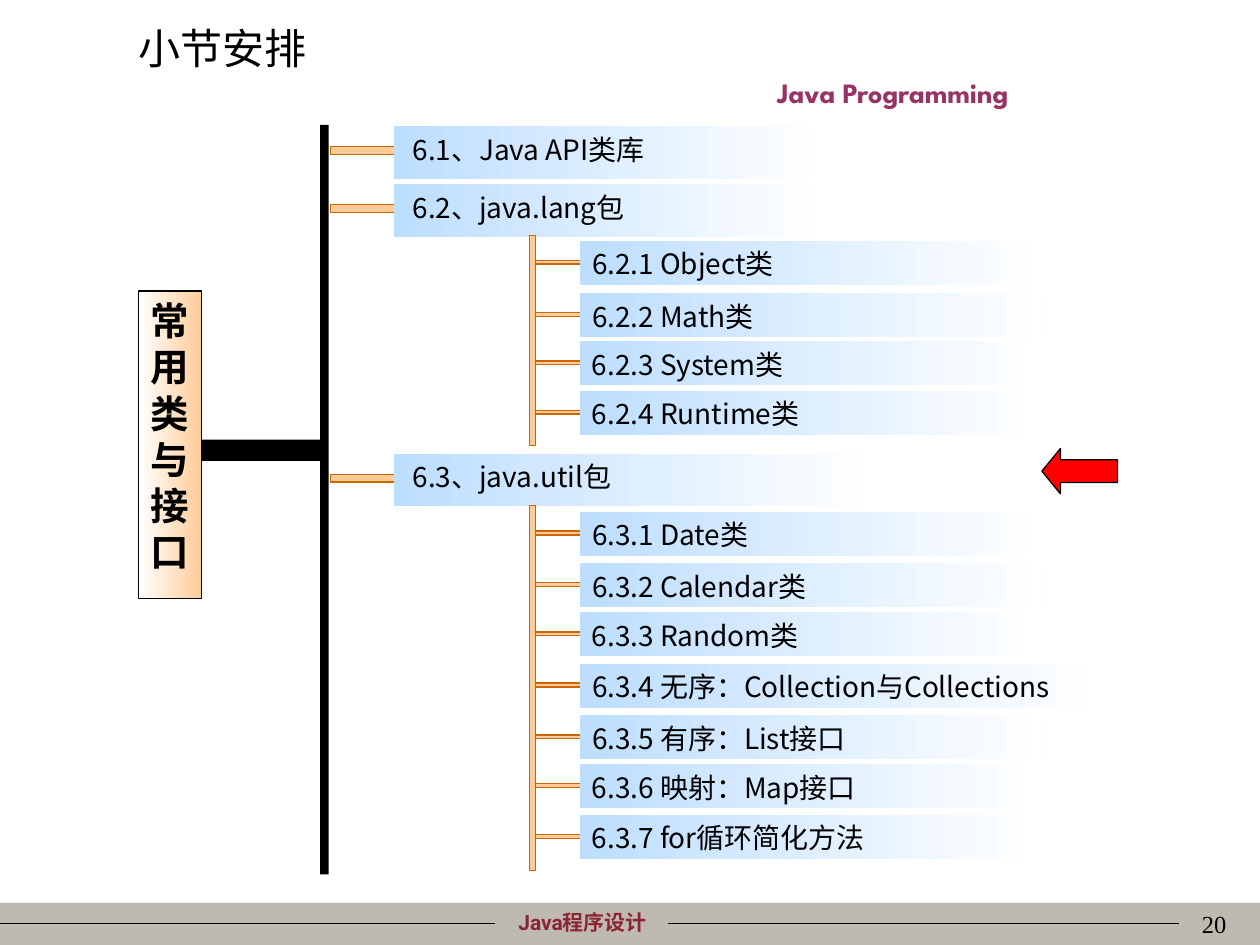
from dataclasses import dataclass
from lxml.etree import SubElement
from pptx import Presentation
from pptx.dml.color import RGBColor as Rgb
from pptx.enum.shapes import MSO_CONNECTOR as Wire, MSO_SHAPE as Form
from pptx.enum.text import MSO_ANCHOR as Anchor, PP_ALIGN as Align
from pptx.oxml.ns import qn
from pptx.util import Pt


@dataclass(frozen=True)
class Theme:
    black: str = "000000"
    white: str = "FFFFFF"
    peach: str = "FFCC99"
    rust: str = "CC6600"
    sky: str = "BDDEFF"
    red: str = "FF0000"
    grey: str = "BFBAB1"
    wine: str = "8C2532"
    plum: str = "993366"
    sans: str = "Noto Sans CJK SC"
    serif: str = "Times New Roman"
    brand: str = "League Spartan"
    foot: str = "Roboto"
    title: float = 24
    root: float = 22
    body: float = 16
    page: float = 14
    small: float = 12
    thin: float = 0.75


class Deck:
    def __init__(self, theme, slide):
        self.theme = theme
        self.slide = slide

    def letter(self, shape, text, size, font=None, color=None, bold=False,
               align=Align.LEFT, anchor=Anchor.TOP, inset=7.2):
        frame = shape.text_frame
        frame.text = text
        frame.word_wrap = True
        frame.vertical_anchor = anchor
        frame.margin_left = Pt(inset)
        para = frame.paragraphs[0]
        para.alignment = align
        for run in para.runs:
            run.font.name = font or self.theme.sans
            run.font.size = Pt(size)
            run.font.bold = bold
            run.font.color.rgb = Rgb.from_string(color or self.theme.black)
            east = SubElement(run._r.get_or_add_rPr(), qn("a:ea"))
            east.set("typeface", self.theme.sans)

    def label(self, x, y, w, h, text, size, **style):
        box = self.slide.shapes.add_textbox(Pt(x), Pt(y), Pt(w), Pt(h))
        self.letter(box, text, size, **style)

    def block(self, x, y, w, h, fill, edge=None, form=Form.RECTANGLE):
        shape = self.slide.shapes.add_shape(form, Pt(x), Pt(y), Pt(w), Pt(h))
        shape.shadow.inherit = False
        if isinstance(fill, tuple):
            shape.fill.gradient()
            shape.fill.gradient_angle = 0
            for stop, color in zip(shape.fill.gradient_stops, fill):
                stop.color.rgb = Rgb.from_string(color)
        else:
            shape.fill.solid()
            shape.fill.fore_color.rgb = Rgb.from_string(fill)
        if edge:
            shape.line.color.rgb = Rgb.from_string(edge)
            shape.line.width = Pt(self.theme.thin)
        else:
            shape.line.fill.background()
        return shape

    def rule(self, start, end, y):
        line = self.slide.shapes.add_connector(
            Wire.STRAIGHT, Pt(start), Pt(y), Pt(end), Pt(y))
        line.line.color.rgb = Rgb.from_string(self.theme.black)
        line.line.width = Pt(self.theme.thin)
        SubElement(line._element.spPr, qn("a:effectLst"))

    def twig(self, x, y, w, h):
        self.block(x, y, w, h, self.theme.peach, self.theme.rust)

    def topic(self, x, y, w, h, text, **style):
        bar = self.block(x, y, w, h, (self.theme.sky, self.theme.white))
        self.letter(bar, text, self.theme.body, **style)

    def main(self, y, w, text):
        self.twig(189, y + 11.9, 36.7, 4.3)
        self.topic(225, y, w, 30.2, text, inset=10.8)

    def group(self, top, height, rows):
        for y, w, text in rows:
            self.twig(303.8, y + 11.2, 36.7, 2.2)
            self.topic(331.2, y, w, 25.2, text)
        self.twig(302.4, top, 3.6, height)


MAIN = [
    (72, 245.5, "6.1、Java API类库"),
    (105.1, 245.5, "6.2、java.lang包"),
    (259.2, 275.8, "6.3、java.util包"),
]
LANG = [
    (137.5, 262.8, "6.2.1 Object类"),
    (167.5, 265.7, "6.2.2 Math类"),
    (195.1, 262.1, "6.2.3 System类"),
    (223.2, 262.1, "6.2.4 Runtime类"),
]
UTIL = [
    (292.3, 262.8, "6.3.1 Date类"),
    (321.8, 265.7, "6.3.2 Calendar类"),
    (349.9, 262.1, "6.3.3 Random类"),
    (379.2, 298.8, "6.3.4 无序：Collection与Collections"),
    (408.8, 265.7, "6.3.5 有序：List接口"),
    (436.6, 262.1, "6.3.6 映射：Map接口"),
    (465.6, 262.1, "6.3.7 for循环简化方法"),
]


def main():
    show = Presentation()
    show.slide_width, show.slide_height = Pt(720), Pt(540)
    look = Theme()
    deck = Deck(look, show.slides.add_slide(show.slide_layouts[6]))

    deck.block(0, 516, 720, 24, look.grey)
    deck.label(260.6, 516, 144.7, 21.6, "Java程序设计", look.small,
               font=look.foot, color=look.wine, bold=True, align=Align.CENTER)
    deck.rule(0, 283, 527.8)
    deck.rule(381.6, 674, 527.8)
    deck.label(558, 516, 149.8, 24, "20", look.page,
               font=look.serif, align=Align.RIGHT)
    deck.label(365.8, 39.6, 288.7, 26.6, "Java Programming", look.body,
               font=look.brand, color=look.plum, bold=True, align=Align.CENTER)
    deck.label(72, 9.4, 205.2, 36, "小节安排", look.title, anchor=Anchor.MIDDLE)

    root = deck.block(79.2, 166.3, 36, 175.7, (look.white, look.peach), look.black)
    deck.letter(root, "常用类与接口", look.root, bold=True, align=Align.CENTER)
    deck.block(115.2, 251.3, 72, 12.2, look.black)
    deck.block(182.9, 71.3, 5, 428.4, look.black)

    for row in MAIN:
        deck.main(*row)
    deck.group(134.6, 120.2, LANG)
    deck.group(288.7, 208.8, UTIL)

    arrow = deck.block(595.4, 256.3, 43.2, 25.9, look.red, look.black, Form.LEFT_ARROW)
    arrow.adjustments[1] = 0.41
    show.save("out.pptx")


if __name__ == "__main__":
    main()
